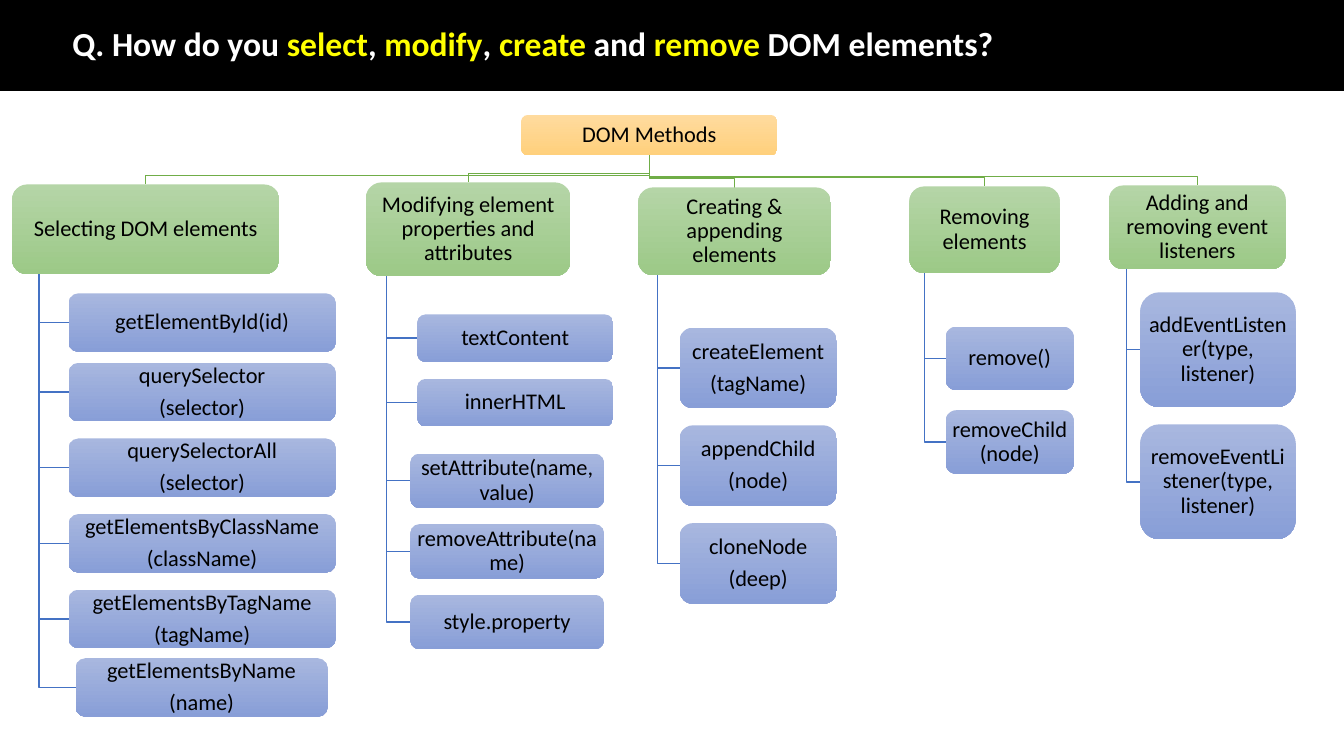
from pptx import Presentation
from pptx.dml.color import RGBColor
from pptx.enum.shapes import MSO_SHAPE as Shape
from pptx.enum.text import MSO_ANCHOR as Anchor, PP_ALIGN as Align
from pptx.util import Inches, Pt

FONT = "Calibri"
ORANGE = ("FFDB9E", "FFD07C")
GREEN = ("B5D5A7", "9CC987")
BLUE = ("A8B7DF", "889ED7")
GREEN_LINE, BLUE_LINE = "70AD47", "4472C4"

TITLE = [
    ("Q. How do you ", "FFFFFF"), ("select", "FFFF00"), (", ", "FFFFFF"),
    ("modify", "FFFF00"), (", ", "FFFFFF"), ("create", "FFFF00"),
    (" and ", "FFFFFF"), ("remove", "FFFF00"), (" DOM elements?", "FFFFFF"),
]
ROOT = (5.17, 1.14, 2.54, 0.4)

# Each branch: heading, heading box, then stacks of (first box, step, labels).
BRANCHES = [
    ("Selecting DOM elements", (0.12, 1.83, 2.65, 0.89), [
        ((0.68, 2.91, 2.65, 0.58), 0, ["getElementById(id)"]),
        ((0.68, 3.6, 2.65, 0.58), 0.75, [
            "querySelector\n(selector)", "querySelectorAll\n(selector)",
            "getElementsByClassName\n(className)",
            "getElementsByTagName\n(tagName)"]),
        ((0.75, 6.53, 2.5, 0.58), 0, ["getElementsByName\n(name)"]),
    ]),
    ("Modifying element properties and attributes", (3.63, 1.81, 2.03, 0.93), [
        ((4.14, 3.12, 1.94, 0.47), 0.64, ["textContent", "innerHTML"]),
        ((4.07, 4.5, 1.92, 0.54), 0.7, [
            "setAttribute(name, value)", "removeAttribute(name)",
            "style.property"]),
    ]),
    ("Creating & appending elements", (6.33, 1.86, 1.91, 0.87), [
        ((6.74, 3.25, 1.56, 0.8), 0.97, [
            "createElement\n(tagName)", "appendChild\n(node)",
            "cloneNode\n(deep)"]),
    ]),
    ("Removing elements", (9.02, 1.85, 1.49, 0.86), [
        ((9.38, 3.24, 1.27, 0.63), 0.83, ["remove()", "removeChild(node)"]),
    ]),
    ("Adding and removing event listeners", (11, 1.84, 1.75, 0.83), [
        ((11.31, 2.9, 1.54, 1.14), 1.31, [
            "addEventListener(type, listener)",
            "removeEventListener(type, listener)"]),
    ]),
]


def rgb(value):
    return RGBColor.from_string(value)


def add_title(page):
    band = page.shapes.add_shape(
        Shape.RECTANGLE, 0, Inches(-0.01), Inches(13.33), Inches(0.91))
    band.shadow.inherit = False
    band.fill.solid()
    band.fill.fore_color.rgb = rgb("000000")
    band.line.color.rgb = rgb("000000")
    band.line.width = Pt(1)

    box = page.shapes.add_textbox(
        Inches(0.62), Inches(0.28), Inches(11.5), Inches(0.35))
    box.text_frame.word_wrap = True
    box.text_frame.vertical_anchor = Anchor.MIDDLE
    para = box.text_frame.paragraphs[0]
    para.line_spacing = 0.9
    para.font.name, para.font.size, para.font.bold = FONT, Pt(24), True
    for text, color in TITLE:
        span = para.add_run()
        span.text = text
        span.font.color.rgb = rgb(color)


def add_line(page, points, color):
    """Draw an open line through points given in inches."""
    points = [(Inches(x), Inches(y)) for x, y in points]
    builder = page.shapes.build_freeform(*points[0])
    builder.add_line_segments(points[1:], close=False)
    line = builder.convert_to_shape()
    line.shadow.inherit = False
    line.fill.background()
    line.line.color.rgb = rgb(color)
    line.line.width = Pt(1)


def add_node(page, bounds, text, colors):
    """Draw a rounded box, shaded downwards from the first to the second color."""
    node = page.shapes.add_shape(
        Shape.FLOWCHART_ALTERNATE_PROCESS, *map(Inches, bounds))
    node.shadow.inherit = False
    node.line.fill.background()
    node.fill.gradient()
    node.fill.gradient_angle = 270
    for stop, color in zip(node.fill.gradient_stops, colors):
        stop.color.rgb = rgb(color)

    frame = node.text_frame
    frame.word_wrap = True
    frame.vertical_anchor = Anchor.MIDDLE
    frame.margin_left = frame.margin_right = Inches(0.01)
    frame.margin_top = frame.margin_bottom = Inches(0.01)
    frame.text = text
    for index, para in enumerate(frame.paragraphs):
        para.alignment = Align.CENTER
        para.line_spacing = 0.9
        para.space_before = Pt(5.6 if index else 0)
        para.font.name, para.font.size = FONT, Pt(16)
        para.font.color.rgb = rgb("000000")


def stacked(stacks):
    """Yield the bounds and label of every box in the stacks."""
    for (left, top, width, height), step, labels in stacks:
        for row, label in enumerate(labels):
            yield (left, top + row * step, width, height), label


def add_branch_lines(page, heading_box, stacks):
    left, top, width, height = heading_box
    root_x, root_bottom = ROOT[0] + ROOT[2] / 2, ROOT[1] + ROOT[3]
    center, turn = left + width / 2, top - 0.09
    add_line(page, [(root_x, root_bottom), (root_x, turn),
                    (center, turn), (center, top)], GREEN_LINE)
    trunk = left + width / 10
    for (item_left, item_top, _, item_height), _ in stacked(stacks):
        middle = item_top + item_height / 2
        add_line(page, [(trunk, top + height), (trunk, middle),
                        (item_left, middle)], BLUE_LINE)


def main():
    deck = Presentation()
    deck.slide_width, deck.slide_height = Inches(13.33), Inches(7.5)
    page = deck.slides.add_slide(deck.slide_layouts[6])
    add_title(page)
    for _, heading_box, stacks in BRANCHES:
        add_branch_lines(page, heading_box, stacks)
    add_node(page, ROOT, "DOM Methods", ORANGE)
    for heading, heading_box, stacks in BRANCHES:
        add_node(page, heading_box, heading, GREEN)
        for bounds, label in stacked(stacks):
            add_node(page, bounds, label, BLUE)
    deck.save("out.pptx")


if __name__ == "__main__":
    main()
